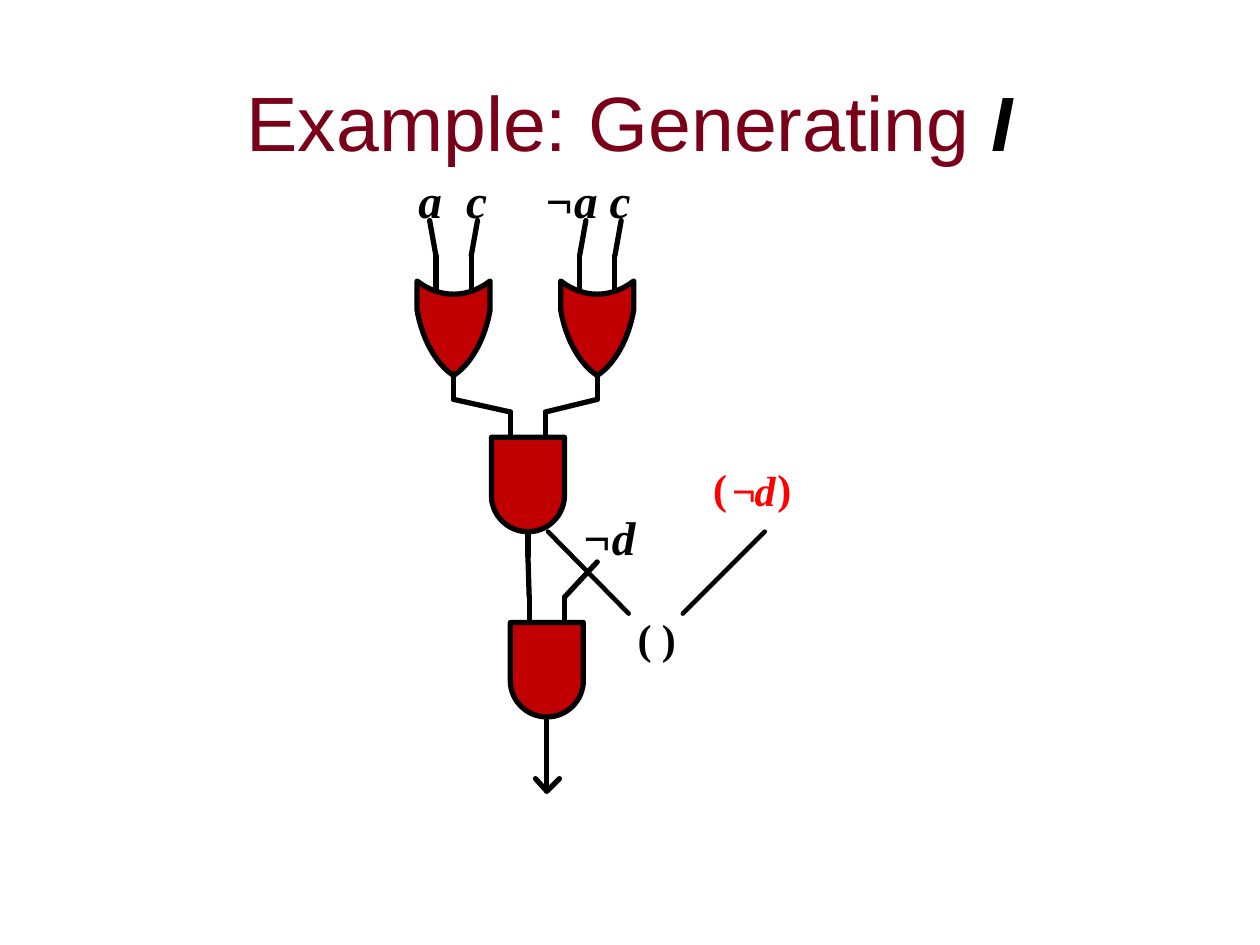
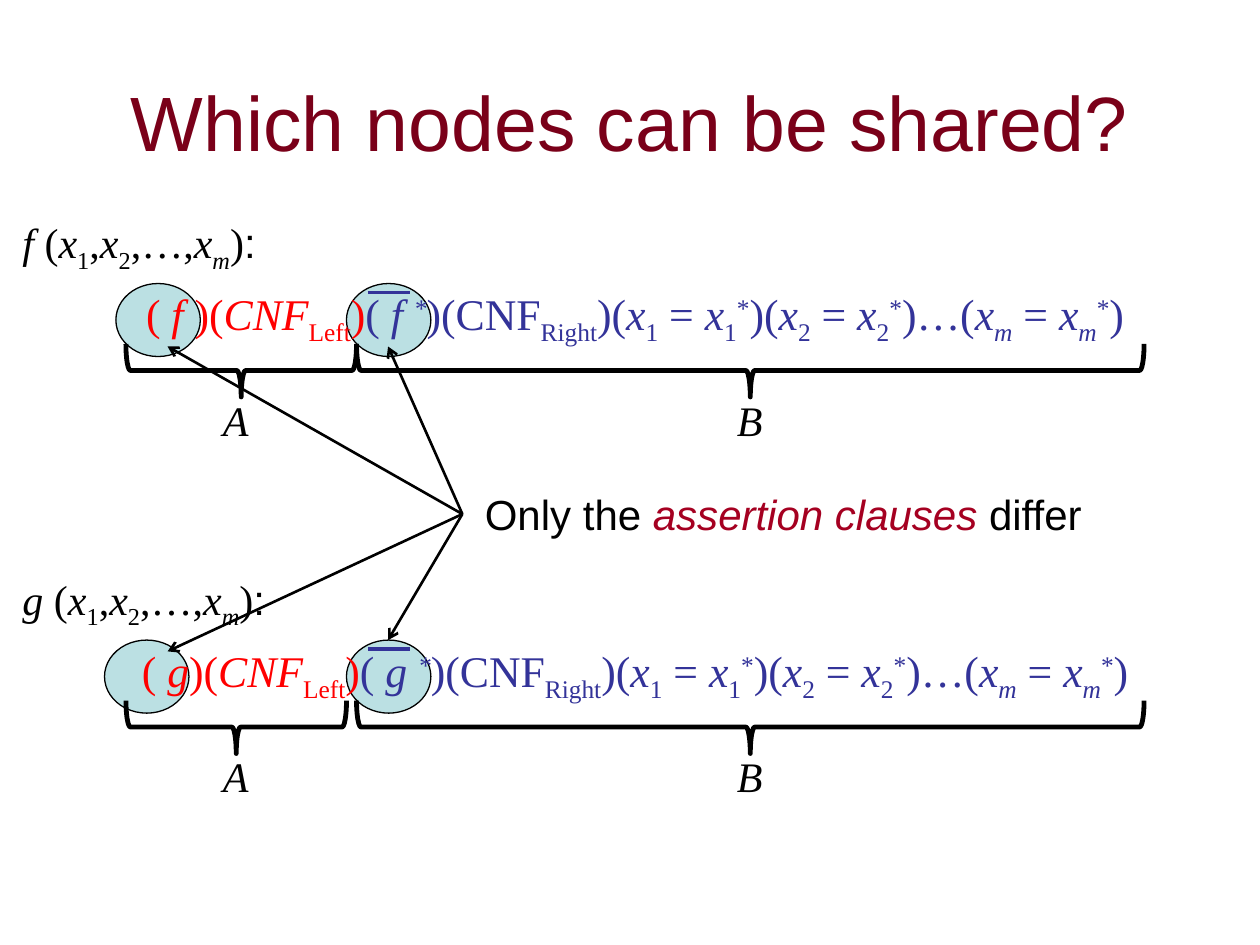
from dataclasses import dataclass
from typing import NamedTuple

from lxml import etree
from pptx import Presentation
from pptx.dml.color import RGBColor
from pptx.enum.shapes import MSO_CONNECTOR, MSO_SHAPE
from pptx.enum.text import MSO_ANCHOR, PP_ALIGN
from pptx.oxml.ns import qn
from pptx.util import Inches, Pt

STRAIGHT = MSO_CONNECTOR.STRAIGHT
OVAL, LEFT_BRACE = MSO_SHAPE.OVAL, MSO_SHAPE.LEFT_BRACE
LEFT, CENTER = PP_ALIGN.LEFT, PP_ALIGN.CENTER
TOP, MIDDLE = MSO_ANCHOR.TOP, MSO_ANCHOR.MIDDLE

BLACK, MAROON, CRIMSON = "000000", "7A0019", "A50021"
RED, BLUE, GATE_RED, PALE_BLUE = "FF0000", "333399", "C00000", "BBE0E3"
SANS, SERIF = "Arial", "Times New Roman"
SUB, SUPER = -25, 30
GATE_LINE = 3

Point = tuple[float, float]


class Span(NamedTuple):
    text: str
    color: str = BLACK
    italic: bool = False
    bold: bool = False
    baseline: int = 0
    font: str = SERIF


@dataclass
class Box:
    left: float
    top: float
    width: float
    height: float
    size: float
    align: PP_ALIGN = LEFT
    anchor: MSO_ANCHOR = TOP
    inset: tuple[float, float] = (0.1, 0.05)
    wrap: bool = False
    tabs: tuple[float, ...] = ()


class Gate(NamedTuple):
    center: float
    top: float
    kind: str


class Formula(NamedTuple):
    name: str
    left_literal: str
    top: float
    first_oval: float
    brace_split: float


def rgb(color: str) -> RGBColor:
    return RGBColor.from_string(color)


def set_values(target, values: dict) -> None:
    for name, value in values.items():
        setattr(target, name, value)


def add_text(page, box: Box, spans: list[Span]) -> None:
    shape = page.shapes.add_textbox(*map(Inches, (box.left, box.top, box.width, box.height)))
    side, end = map(Inches, box.inset)
    set_values(shape.text_frame, {
        "word_wrap": box.wrap, "vertical_anchor": box.anchor,
        "margin_left": side, "margin_right": side, "margin_top": end, "margin_bottom": end,
    })
    para = shape.text_frame.paragraphs[0]
    para.alignment = box.align
    if box.tabs:
        tab_list = etree.SubElement(para._p.get_or_add_pPr(), qn("a:tabLst"))
        for stop in box.tabs:
            etree.SubElement(tab_list, qn("a:tab"), pos=str(Inches(stop)), algn="l")
    for span in spans:
        run = para.add_run()
        run.text = span.text
        set_values(run.font, {"name": span.font, "size": Pt(box.size),
                              "bold": span.bold, "italic": span.italic})
        run.font.color.rgb = rgb(span.color)
        if span.baseline:
            run._r.get_or_add_rPr().set("baseline", str(span.baseline * 1000))


def add_title(page, spans: list[Span]) -> None:
    add_text(page, Box(0.75, 0.33, 8.5, 1.25, 44, CENTER, MIDDLE, wrap=True), spans)


def style_line(shape, width: float, color: str = BLACK, round_ends: bool = False) -> None:
    shape.line.color.rgb = rgb(color)
    shape.line.width = Pt(width)
    if round_ends:
        line = shape.line._get_or_add_ln()
        line.set("cap", "rnd")
        etree.SubElement(line, qn("a:round"))


def style_fill(shape, color: str | None) -> None:
    shape.shadow.inherit = False
    if color:
        shape.fill.solid()
        shape.fill.fore_color.rgb = rgb(color)
    else:
        shape.fill.background()


def add_line(page, start: Point, end: Point, width: float, color: str = BLACK,
             arrow: bool = False, round_ends: bool = False) -> None:
    line = page.shapes.add_connector(STRAIGHT, *map(Inches, (*start, *end)))
    style_line(line, width, color, round_ends)
    if arrow:
        etree.SubElement(line.line._get_or_add_ln(), qn("a:tailEnd"), type="arrow")
    etree.SubElement(line._element.spPr, qn("a:effectLst"))


def add_wire(page, start: Point, end: Point, width: float = GATE_LINE) -> None:
    add_line(page, start, end, width, round_ends=True)


def add_outline(page, points: list[Point], fill: str | None) -> None:
    """Draw a filled closed outline, or an open stroke when there is no fill."""
    first, *others = [(Inches(x), Inches(y)) for x, y in points]
    builder = page.shapes.build_freeform(*first)
    builder.add_line_segments(others, close=fill is not None)
    shape = builder.convert_to_shape()
    style_fill(shape, fill)
    style_line(shape, GATE_LINE, round_ends=True)


def curve(start: Point, pull_1: Point, pull_2: Point, end: Point, steps: int = 16) -> list[Point]:
    """Return points along a cubic Bezier curve."""
    points = []
    for step in range(steps + 1):
        t = step / steps
        weights = ((1 - t) ** 3, 3 * t * (1 - t) ** 2, 3 * t ** 2 * (1 - t), t ** 3)
        corners = (start, pull_1, pull_2, end)
        points.append(tuple(sum(w * corner[axis] for w, corner in zip(weights, corners))
                            for axis in (0, 1)))
    return points


# Gate bodies, relative to the centre line and the top of the body
GATE_BODIES = {
    "or": [*curve((0, 0.75), (-0.14, 0.66), (-0.25, 0.46), (-0.29, 0.23)),
           *curve((-0.29, 0), (-0.11, 0.14), (0.11, 0.14), (0.29, 0)),
           *curve((0.29, 0.23), (0.25, 0.46), (0.14, 0.66), (0, 0.75))],
    "and": [(-0.29, 0), (0.29, 0),
            *curve((0.29, 0.46), (0.29, 0.62), (0.16, 0.75), (0, 0.75)),
            *curve((0, 0.75), (-0.16, 0.75), (-0.29, 0.62), (-0.29, 0.46))],
}


def add_gate(page, gate: Gate) -> None:
    middle = gate.top + 0.57
    for offset in (-0.14, 0.14):
        x = gate.center + offset
        add_wire(page, (x, gate.top), (x, middle))
    add_wire(page, (gate.center, middle), (gate.center, gate.top + 1.14))
    body = [(gate.center + x, gate.top + 0.2 + y) for x, y in GATE_BODIES[gate.kind]]
    add_outline(page, body, GATE_RED)


def build_circuit(page) -> None:
    for gate in (Gate(4.19, 3.27, "and"), Gate(4.34, 4.74, "and"),
                 Gate(3.6, 2.03, "or"), Gate(4.74, 2.03, "or")):
        add_gate(page, gate)

    bare = (0, 0)
    add_text(page, Box(3.32, 1.36, 1.69, 0.45, 27, inset=bare, tabs=(0.38, 1.01)),
             [Span("a\tc\t¬a c", italic=True, bold=True)])
    add_text(page, Box(4.63, 4.03, 0.42, 0.45, 27, inset=bare),
             [Span("¬d", italic=True, bold=True)])
    add_text(page, Box(5.06, 4.86, 0.31, 0.4, 24, inset=bare), [Span("( )", bold=True)])
    for text, left, width, italic in (("(", 5.66, 0.11, False), ("¬", 5.81, 0.2, True),
                                      ("d", 5.99, 0.17, True), (")", 6.17, 0.11, False)):
        top = 3.69 if italic else 3.67
        add_text(page, Box(left, top, width, 0.4, 24, inset=bare),
                 [Span(text, RED, italic, bold=True)])

    for start, end in (
        ((3.41, 1.75), (3.46, 2.03)), ((3.79, 1.75), (3.74, 2.03)),
        ((4.65, 1.75), (4.6, 2.03)), ((4.93, 1.75), (4.88, 2.03)),
        ((3.6, 3.17), (4.05, 3.27)), ((4.74, 3.17), (4.33, 3.27)),
        ((4.19, 4.41), (4.2, 4.74)), ((4.74, 4.46), (4.48, 4.74)),
        ((4.34, 5.88), (4.34, 6.28)),
    ):
        add_wire(page, start, end)
    add_outline(page, [(4.25, 6.18), (4.34, 6.28), (4.44, 6.18)], None)
    for start, end in (((4.35, 4.22), (4.99, 4.87)), ((6.07, 4.22), (5.42, 4.87))):
        add_wire(page, start, end, 2.64)

    add_title(page, [Span("Example: Generating ", MAROON, font=SANS),
                     Span("I", italic=True, bold=True, font=SANS)])


def variable(index: str, color: str = BLACK) -> list[Span]:
    return [Span("x", color, italic=True),
            Span(index, color, italic=index.isalpha(), baseline=SUB)]


def signature_spans(name: str) -> list[Span]:
    return [Span(f"{name} ", italic=True), Span("("), *variable("1"), Span(","),
            *variable("2"), Span(",…,"), *variable("m"), Span(")"), Span(":", font=SANS)]


def clause_spans(formula: Formula) -> list[Span]:
    spans = [Span("( ", RED), Span(formula.left_literal, RED, italic=True), Span(")(", RED),
             Span("CNF", RED, italic=True), Span("Left", RED, baseline=SUB), Span(")", RED),
             Span("( ", BLUE), Span(f"{formula.name} ", BLUE, italic=True),
             Span("*", BLUE, italic=True, baseline=SUPER),
             Span(")(CNF", BLUE), Span("Right", BLUE, baseline=SUB), Span(")(", BLUE)]
    for index, closing in (("1", ")("), ("2", ")…("), ("m", ")")):
        spans += [*variable(index, BLUE), Span(" = ", BLUE), *variable(index, BLUE),
                  Span("*", BLUE, baseline=SUPER), Span(closing, BLUE)]
    return spans


def add_brace(page, left: float, right: float, top: float) -> None:
    """Draw a brace below the text, its point downwards."""
    depth, length = 0.42, right - left
    brace = page.shapes.add_shape(
        LEFT_BRACE, Inches((left + right - depth) / 2), Inches(top + (depth - length) / 2),
        Inches(depth), Inches(length))
    brace.rotation = 270
    style_fill(brace, None)
    style_line(brace, 2.75)


def add_formula(page, formula: Formula) -> None:
    top = formula.top
    for left in (formula.first_oval, 2.75):
        oval = page.shapes.add_shape(OVAL, *map(Inches, (left, top + 0.58, 0.67, 0.58)))
        style_fill(oval, PALE_BLUE)
        style_line(oval, 0.75)
    add_text(page, Box(0.29, top + 0.56, 9.5, 0.58, 25, CENTER, wrap=True),
             clause_spans(formula))
    add_brace(page, 1, formula.brace_split, top + 1.06)
    add_brace(page, 2.83, 9.08, top + 1.06)
    for label, left in (("A", 1.67), ("B", 5.75)):
        add_text(page, Box(left, top + 1.41, 0.4, 0.5, 24), [Span(label, italic=True)])
    add_line(page, (2.92, top + 0.65), (3.25, top + 0.65), 2, BLUE)
    add_text(page, Box(0.08, top, 2.8, 0.56, 24, wrap=True), signature_spans(formula.name))


def build_sharing(page) -> None:
    add_title(page, [Span("Which nodes can be shared?", MAROON, font=SANS)])
    for formula in (Formula("f", "f ", 1.67, 0.92, 2.83), Formula("g", "g", 4.5, 0.83, 2.75)):
        add_formula(page, formula)
    for target in ((1.33, 2.75), (3.08, 2.75), (1.33, 5.17), (3.08, 5.08)):
        add_line(page, (3.67, 4.08), target, 1.5, arrow=True)
    add_text(page, Box(3.75, 3.83, 5.33, 0.5, 24, wrap=True),
             [Span("Only the ", font=SANS),
              Span("assertion clauses ", CRIMSON, italic=True, font=SANS),
              Span("differ", font=SANS)])


def main() -> None:
    deck = Presentation()
    deck.slide_width, deck.slide_height = Inches(10), Inches(7.5)
    for build in (build_circuit, build_sharing):
        build(deck.slides.add_slide(deck.slide_layouts[6]))
    deck.save("out.pptx")


if __name__ == "__main__":
    main()
